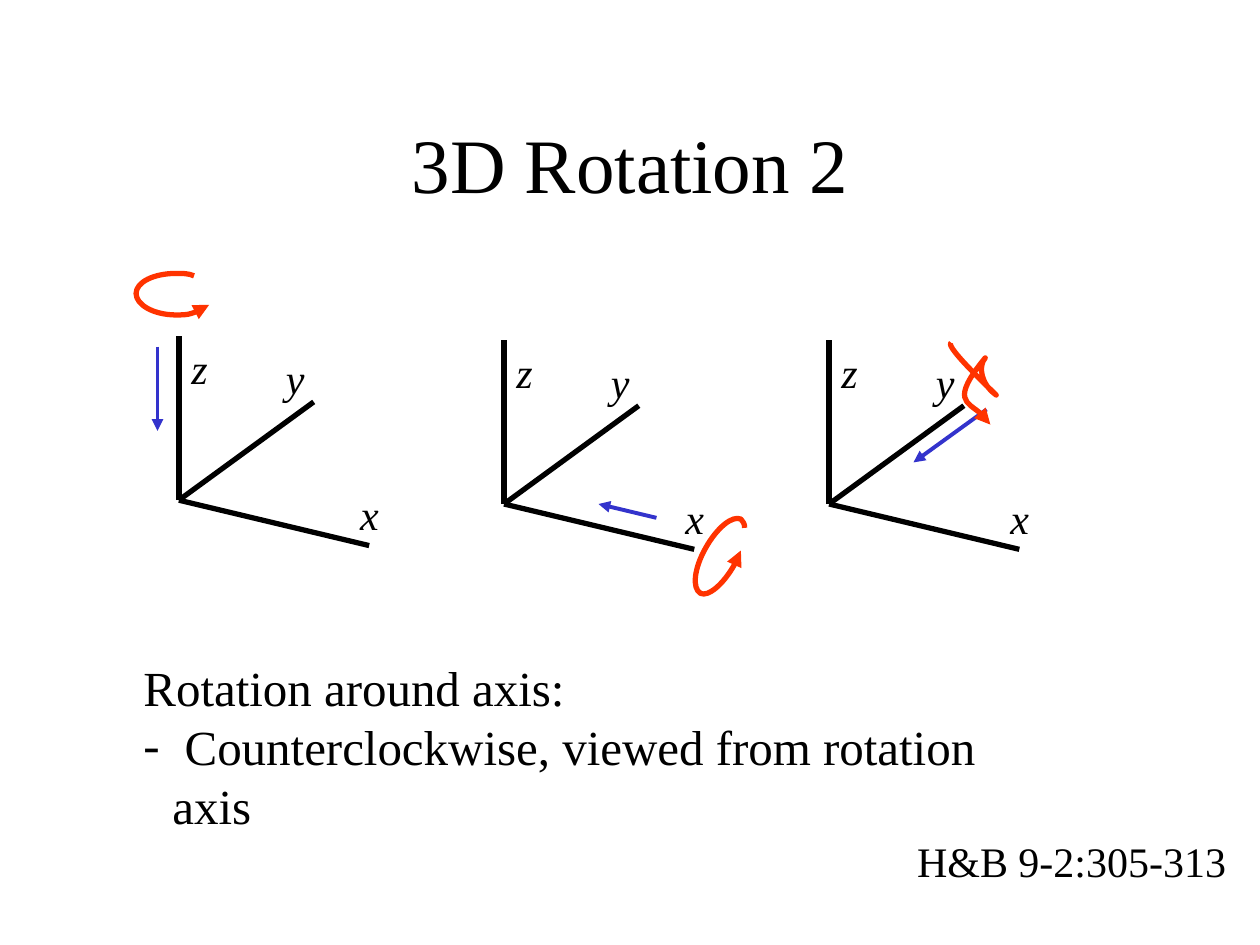
from math import cos, radians, sin

from pptx import Presentation
from pptx.dml.color import RGBColor
from pptx.enum.shapes import MSO_CONNECTOR
from pptx.enum.text import MSO_ANCHOR, PP_ALIGN
from pptx.oxml.ns import qn
from pptx.util import Inches, Pt
from lxml.etree import SubElement

COLORS = {"ink": "000000", "view": "3333CC", "turn": "FF3300"}
COLUMNS, ROWS = 10, 7.5


def write_text(box, text, size=24, italic=False, align=PP_ALIGN.LEFT,
               anchor=MSO_ANCHOR.TOP, wrap=False, font="Times New Roman"):
    frame = box.text_frame
    frame.text = text
    frame.word_wrap = wrap
    frame.vertical_anchor = anchor
    for para in frame.paragraphs:
        para.alignment = align
        for span in para.runs:
            span.font.name = font
            span.font.size = Pt(size)
            span.font.italic = italic
            span.font.color.rgb = RGBColor.from_string(COLORS["ink"])
    return frame


def turn_back(point, center, degrees):
    angle = radians(-degrees)
    across, down = point[0] - center[0], point[1] - center[1]
    return (center[0] + across * cos(angle) - down * sin(angle),
            center[1] + across * sin(angle) + down * cos(angle))


class Slide:
    def __init__(self, deck):
        self.page = deck.slides.add_slide(deck.slide_layouts[5])
        self.column = deck.slide_width / COLUMNS
        self.row = deck.slide_height / ROWS

    def place(self, column, row):
        return round(column * self.column), round(row * self.row)

    def title(self, text, column, row, width, height):
        box = self.page.shapes.title
        box.left, box.top = self.place(column, row)
        box.width, box.height = self.place(width, height)
        write_text(box, text, size=44, align=PP_ALIGN.CENTER,
                   anchor=MSO_ANCHOR.MIDDLE, wrap=True)

    def text(self, text, column, row, width, height, **style):
        box = self.page.shapes.add_textbox(
            *self.place(column, row), *self.place(width, height))
        return write_text(box, text, **style)

    def stroke(self, shape, color, weight, arrow):
        shape.line.color.rgb = RGBColor.from_string(COLORS[color])
        shape.line.width = Pt(weight)
        if arrow:
            SubElement(shape.line._get_or_add_ln(), qn("a:tailEnd"),
                       type="triangle")

    def line(self, start, end, color="ink", weight=3, arrow=False):
        line = self.page.shapes.add_connector(
            MSO_CONNECTOR.STRAIGHT, *self.place(*start), *self.place(*end))
        self.stroke(line, color, weight, arrow)
        SubElement(line._element.spPr, qn("a:effectLst"))

    def curve(self, frame, start, *curves, rotation=0):
        left, top, width, height = frame
        center = left + width / 2, top + height / 2
        builder = self.page.shapes.build_freeform(*self.place(left, top))
        builder.add_line_segments(
            [self.place(left + width, top + height)], close=False)
        shape = builder.convert_to_shape()
        shape.rotation = rotation
        outline = next(shape._element.iter(qn("a:path")))
        for child in list(outline):
            outline.remove(child)
        for kind, points in (("a:moveTo", [start]),
                             *(("a:cubicBezTo", curve) for curve in curves)):
            segment = SubElement(outline, qn(kind))
            for point in points:
                column, row = turn_back(point, center, rotation)
                x, y = self.place(column - left, row - top)
                SubElement(segment, qn("a:pt"), x=str(x), y=str(y))
        shape.fill.background()
        self.stroke(shape, "turn", 3, True)
        shape.shadow.inherit = False

    def axes(self, column, row):
        for across, down in ((0, -1.3), (1.51, 0.36), (1.07, -0.78)):
            self.line((column, row), (column + across, row + down))
        for name, across, down in (("z", 0, -1.3), ("x", 1.34, -0.14),
                                   ("y", 0.75, -1.22)):
            self.text(name, column + across, row + down,
                      0.33 if name == "z" else 0.35, 0.5, italic=True)


deck = Presentation()
deck.slide_width, deck.slide_height = Inches(COLUMNS), Inches(ROWS)
slide = Slide(deck)
slide.title("3D Rotation 2", 0.75, 0.67, 8.5, 1.25)

for origin in ((1.42, 3.97), (4, 4), (6.58, 4)):
    slide.axes(*origin)

for start, end in (((1.25, 2.75), (1.25, 3.42)),
                   ((5.21, 4.11), (4.75, 4)),
                   ((7.83, 3.25), (7.25, 3.67))):
    slide.line(start, end, color="view", weight=2.24, arrow=True)

slide.curve((1.08, 2.17, 0.58, 0.33), (1.54, 2.19),
            ((1.5, 2.17), (1.45, 2.17), (1.4, 2.17)),
            ((1.22, 2.17), (1.08, 2.24), (1.08, 2.33)),
            ((1.08, 2.42), (1.22, 2.5), (1.4, 2.5)),
            ((1.5, 2.5), (1.6, 2.47), (1.66, 2.42)))
slide.curve((5.58, 4.08, 0.27, 0.66), (5.91, 4.19),
            ((5.91, 4.16), (5.9, 4.14), (5.88, 4.12)),
            ((5.81, 4.09), (5.69, 4.19), (5.6, 4.35)),
            ((5.51, 4.51), (5.49, 4.67), (5.56, 4.71)),
            ((5.62, 4.74), (5.74, 4.64), (5.83, 4.48)),
            ((5.85, 4.44), (5.87, 4.41), (5.88, 4.37)), rotation=28.9)
slide.curve((7.82, 2.75, 0.36, 0.47), (7.55, 2.72),
            ((7.48, 2.74), (7.97, 3.19), (7.9, 3.13)),
            ((7.79, 3.05), (7.76, 2.91), (7.82, 2.84)),
            ((7.54, 3.18), (7.68, 3.19), (7.78, 3.28)),
            ((7.82, 3.31), (7.84, 3.34), (7.86, 3.37)), rotation=309)

notes = slide.text(
    "Rotation around axis:\n Counterclockwise, viewed from rotation axis",
    1.04, 5.17, 7.42, 1.04, size=28, wrap=True)
bullet = notes.paragraphs[1]._p.get_or_add_pPr()
bullet.set("marL", str(Inches(0.23)))
bullet.set("indent", str(-Inches(0.23)))
SubElement(bullet, qn("a:buFont"), typeface="Times New Roman")
SubElement(bullet, qn("a:buChar"), char="-")
slide.text("H&B 9-2:305-313", 7.18, 6.58, 2.7, 0.5, wrap=True)

deck.save("out.pptx")
